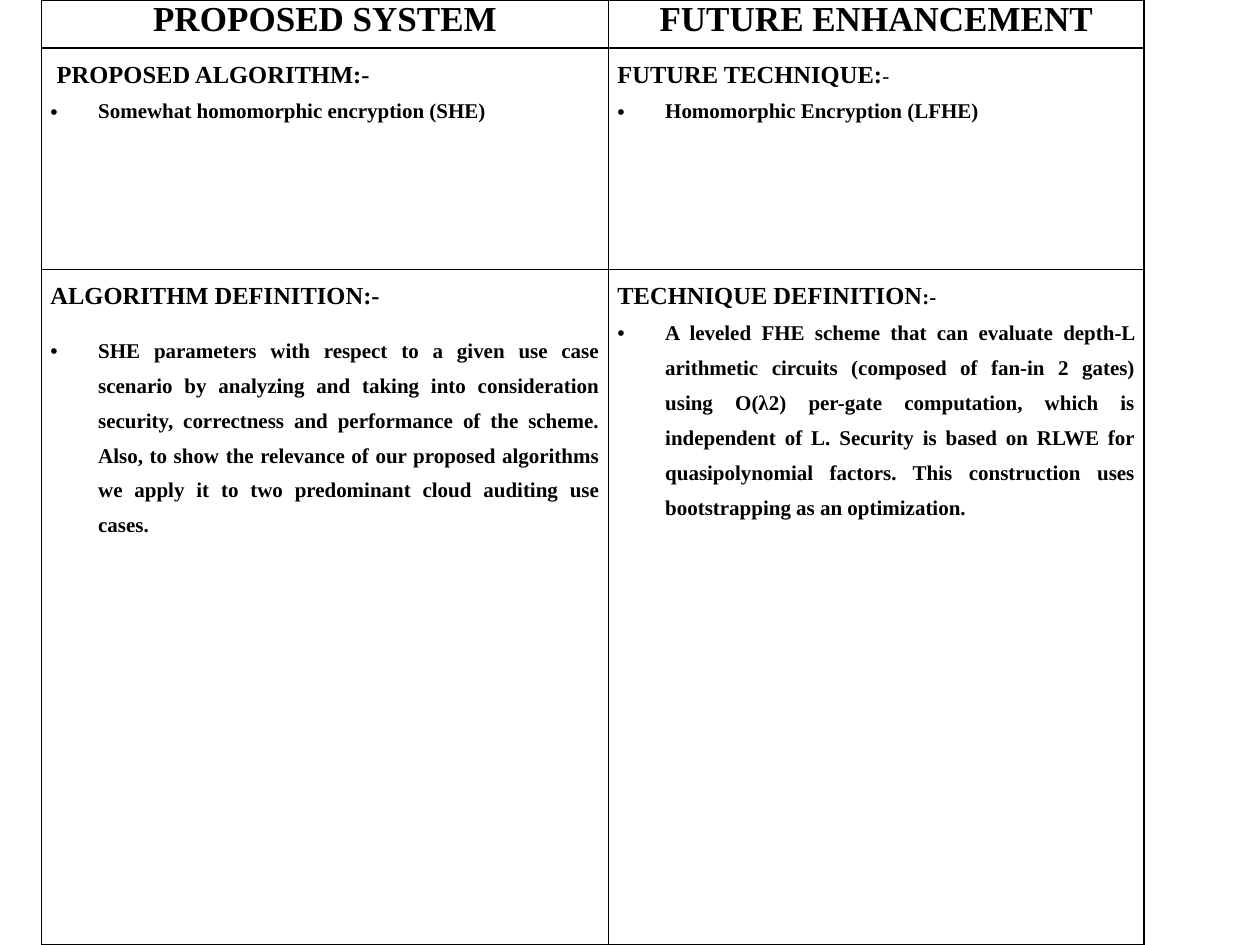
from lxml.etree import SubElement
from pptx import Presentation
from pptx.dml.color import RGBColor
from pptx.enum.text import PP_ALIGN as Align
from pptx.oxml import parse_xml
from pptx.oxml.ns import nsdecls, qn
from pptx.util import Inches, Pt

COLORS = {"ink": "000000"}
FONT = "Times New Roman"
HEADER, HEADING, BODY = 20, 14, 12  # text sizes in points
COLUMNS = [4.5, 4.25]
ROWS = [0.38, 1.76, 5.36]
LEFT = 0.33
BULLET_INDENT = 0.38

HEADERS = ["PROPOSED SYSTEM", "FUTURE ENHANCEMENT"]
# Each cell: heading runs (text, size, bold), left margin, first-line indent,
# space after the heading, bullet text, bullet alignment
SECTIONS = [
    [
        ([("PROPOSED ALGORITHM:-", HEADING, True)], 0.05, 0, 0,
         "Somewhat homomorphic encryption (SHE)", Align.LEFT),
        ([("FUTURE TECHNIQUE:", HEADING, True), ("-", BODY, False)], 0.11, -0.11, 0,
         "Homomorphic Encryption (LFHE)", Align.JUSTIFY),
    ],
    [
        ([("ALGORITHM DEFINITION:-", HEADING, True)], 0, 0, 10,
         "SHE parameters with respect to a given use case scenario by analyzing and "
         "taking into consideration security, correctness and performance of the "
         "scheme. Also, to show the relevance of our proposed algorithms we apply it "
         "to two predominant cloud auditing use cases.", Align.JUSTIFY),
        ([("TECHNIQUE DEFINITION", HEADING, True), (":-", BODY, True)], 0.11, -0.11, 0,
         "A leveled FHE scheme that can evaluate depth-L arithmetic circuits (composed "
         "of fan-in 2 gates) using O(λ2) per-gate computation, which is independent "
         "of L. Security is based on RLWE for quasipolynomial factors. This "
         "construction uses bootstrapping as an optimization.", Align.JUSTIFY),
    ],
]


def add_spans(para, spans):
    for text, size, bold in spans:
        span = para.add_run()
        span.text = text
        span.font.name, span.font.size, span.font.bold = FONT, Pt(size), bold
        span.font.color.rgb = RGBColor.from_string(COLORS["ink"])


def format_para(para, align, before=0, after=0, spacing=1.0, margin=0, indent=0):
    para.alignment = align
    para.line_spacing = spacing
    para.space_before, para.space_after = Pt(before), Pt(after)
    properties = para._p.get_or_add_pPr()
    properties.set("marL", str(Inches(margin)))
    properties.set("indent", str(Inches(indent)))
    return properties


def format_cell(cell, side_inset):
    """Clear the fill, set the insets and draw a one-point border all round."""
    cell.margin_left = cell.margin_right = Inches(side_inset)
    cell.margin_top = cell.margin_bottom = 0
    cell.fill.background()
    properties = cell._tc.get_or_add_tcPr()
    for place, side in enumerate(("lnL", "lnR", "lnT", "lnB")):
        properties.insert(place, parse_xml(
            f'<a:{side} {nsdecls("a")} w="{Pt(1)}"><a:solidFill>'
            f'<a:srgbClr val="{COLORS["ink"]}"/></a:solidFill></a:{side}>'))


def fill_section(cell, heading, margin, indent, after, bullet, align):
    format_cell(cell, 0.07)
    title = cell.text_frame.paragraphs[0]
    add_spans(title, heading)
    format_para(title, Align.JUSTIFY, after=after, spacing=1.5, margin=margin, indent=indent)
    item = cell.text_frame.add_paragraph()
    add_spans(item, [(bullet, BODY, True)])
    properties = format_para(item, align, spacing=1.5,
                             margin=BULLET_INDENT, indent=-BULLET_INDENT)
    SubElement(properties, qn("a:buFont")).set("typeface", "Arial")
    SubElement(properties, qn("a:buChar")).set("char", "•")


def main():
    deck = Presentation()
    deck.slide_width, deck.slide_height = Inches(10), Inches(7.5)
    page = deck.slides.add_slide(deck.slide_layouts[6])
    table = page.shapes.add_table(
        len(ROWS), len(COLUMNS), Inches(LEFT), 0,
        Inches(sum(COLUMNS)), Inches(sum(ROWS))).table
    table.first_row = table.horz_banding = False
    for column, width in zip(table.columns, COLUMNS):
        column.width = Inches(width)
    for row, height in zip(table.rows, ROWS):
        row.height = Inches(height)

    for column, text in enumerate(HEADERS):
        cell = table.cell(0, column)
        format_cell(cell, 0.03)
        para = cell.text_frame.paragraphs[0]
        add_spans(para, [(text, HEADER, True)])
        format_para(para, Align.CENTER, before=6, after=6)
    for row, sections in enumerate(SECTIONS, start=1):
        for column, section in enumerate(sections):
            fill_section(table.cell(row, column), *section)

    deck.save("out.pptx")


if __name__ == "__main__":
    main()
